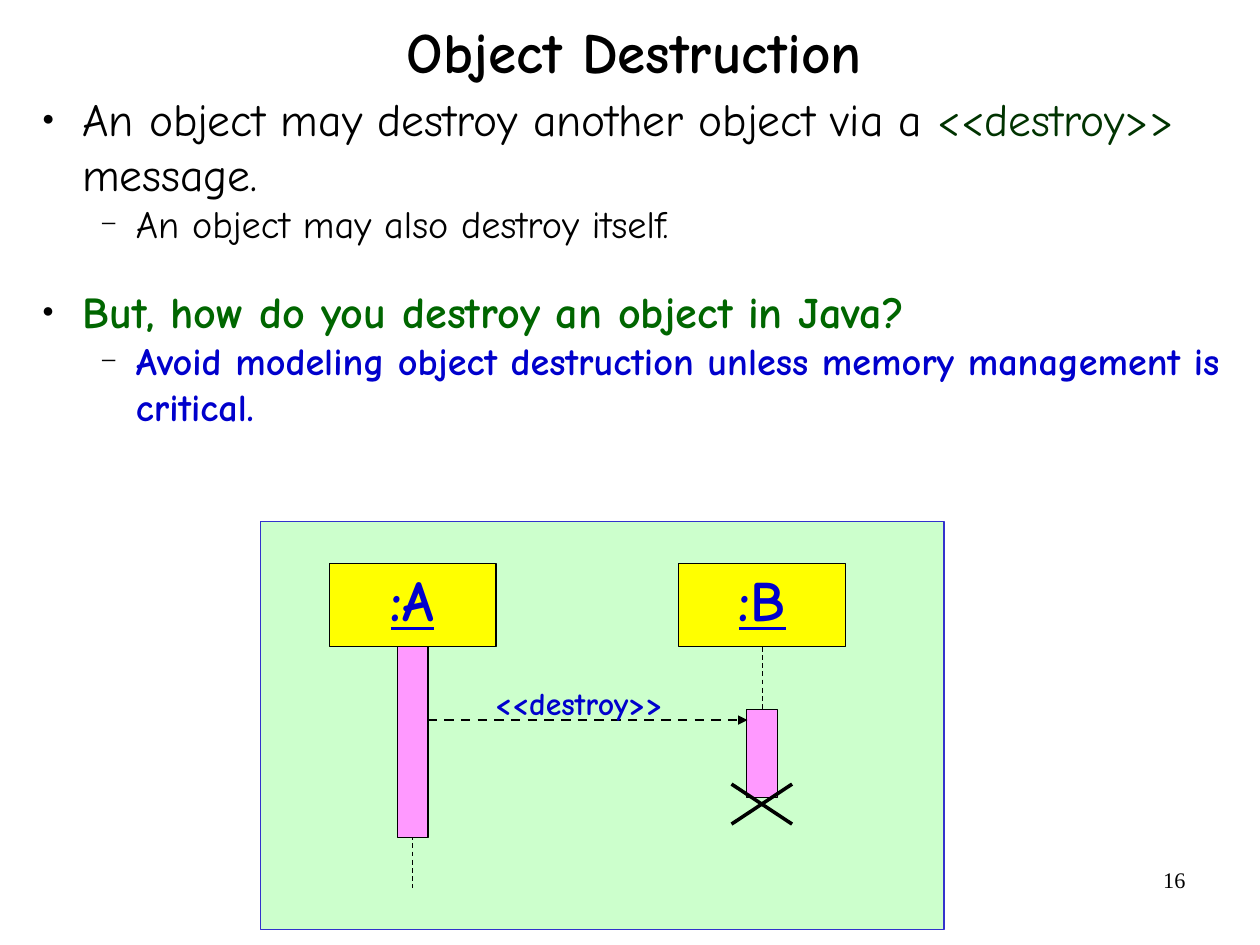
import pptx
import pptx.util
import pptx.dml.color
import pptx.enum.dml
import pptx.enum.shapes
import pptx.enum.text
import pptx.oxml
import pptx.oxml.ns

Inches = pptx.util.Inches
Pt = pptx.util.Pt
ALIGN = pptx.enum.text.PP_ALIGN
ANCHOR = pptx.enum.text.MSO_ANCHOR

COLORS = {
    "black": "000000",
    "stereotype": "003300",
    "question": "006600",
    "blue": "0000CC",
    "panel": "CCFFCC",
    "panel_line": "3333CC",
    "head": "FFFF00",
    "activation": "FF99FF",
}
FONT = "Comic Neue"
SERIF_FONT = "Times New Roman"
CM_PER_INCH = 2.54
TOP, BOTTOM = 0, 2

# Level, space after, size, bold, runs
BULLETS = [
    (0, 0, 28.7, False, [("An object may destroy another object via a ", "black"),
                         ("<<destroy>>", "stereotype"), (" message.", "black")]),
    (1, 24, 24.1, False, [("An object may also destroy itself.", "black")]),
    (0, 0, 27.8, True, [("But, how do you destroy an object in Java?", "question")]),
    (1, 10.9, 24.1, True, [("Avoid modeling object destruction unless memory "
                            "management is critical.", "blue")]),
]
# Left indent, hanging indent, character, size in percent
BULLET_STYLES = [(0.46, -0.35, "●", 45), (0.93, -0.31, "−", 75)]


def rgb(name):
    return pptx.dml.color.RGBColor.from_string(COLORS[name])


def add_element(parent, tag, **attributes):
    element = pptx.oxml.parse_xml(f"<a:{tag} {pptx.oxml.ns.nsdecls('a')}/>")
    for key, value in attributes.items():
        element.set(key, value)
    parent.append(element)
    return element


def add_run(paragraph, text, size, color, bold=False, font=FONT, underline=None):
    run = paragraph.add_run()
    run.text = text
    run.font.name = font
    run.font.size = Pt(size)
    run.font.bold = bold
    run.font.underline = underline
    run.font.color.rgb = rgb(color)


def add_text_frame(slide, box, inset=(0.1, 0.05), wrap=True):
    frame = slide.shapes.add_textbox(*map(Inches, box)).text_frame
    frame.margin_left = frame.margin_right = Inches(inset[0])
    frame.margin_top = frame.margin_bottom = Inches(inset[1])
    frame.word_wrap = wrap
    return frame


def add_rectangle(slide, box, fill, line="black"):
    shape = slide.shapes.add_shape(
        pptx.enum.shapes.MSO_SHAPE.RECTANGLE, *map(Inches, box))
    shape.shadow.inherit = False
    shape.fill.solid()
    shape.fill.fore_color.rgb = rgb(fill)
    shape.line.color.rgb = rgb(line)
    shape.line.width = Pt(0.75)
    return shape


def add_line(shapes, start, end, width, dashed=False, arrow=False):
    line = shapes.add_connector(
        pptx.enum.shapes.MSO_CONNECTOR.STRAIGHT, *map(Inches, (*start, *end)))
    line.line.color.rgb = rgb("black")
    line.line.width = Pt(width)
    if dashed:
        line.line.dash_style = pptx.enum.dml.MSO_LINE.DASH
    if arrow:
        add_element(line.line._get_or_add_ln(), "tailEnd", type="triangle")
    add_element(line._element.spPr, "effectLst")
    return line


def add_page_number(slide, box):
    paragraph = add_text_frame(slide, box).paragraphs[0]
    paragraph.alignment = ALIGN.RIGHT
    add_run(paragraph, "16", 14, "black", font=SERIF_FONT)


def add_title(slide, box):
    frame = add_text_frame(slide, box, inset=(0, 0))
    frame.vertical_anchor = ANCHOR.MIDDLE
    paragraph = frame.paragraphs[0]
    paragraph.alignment = ALIGN.CENTER
    paragraph.line_spacing = 0.88
    add_run(paragraph, "Object Destruction", 36, "black", bold=True)


def add_bullets(slide, box):
    frame = add_text_frame(slide, box, inset=(0, 0))
    for index, (level, space_after, size, bold, runs) in enumerate(BULLETS):
        paragraph = frame.add_paragraph() if index else frame.paragraphs[0]
        paragraph.level = level
        paragraph.line_spacing = 1.0
        paragraph.space_after = Pt(space_after)
        left, hanging, character, percent = BULLET_STYLES[level]
        properties = paragraph._p.get_or_add_pPr()
        properties.set("marL", str(Inches(left)))
        properties.set("indent", str(Inches(hanging)))
        bullet_color = add_element(properties, "buClr")
        add_element(bullet_color, "srgbClr", val=COLORS["black"])
        add_element(properties, "buSzPct", val=str(percent * 1000))
        add_element(properties, "buFont", typeface=SERIF_FONT)
        add_element(properties, "buChar", char=character)
        for text, color in runs:
            add_run(paragraph, text, size, color, bold)


def add_participant(slide, name, center, top, life_end, active_top, active_height):
    """Draw a named head, its lifeline and its activation bar."""
    width, height, bar_width = 1.46, 0.73, 0.27
    head = add_rectangle(slide, (center - width / 2, top, width, height), "head")
    frame = head.text_frame
    frame.word_wrap = False
    frame.vertical_anchor = ANCHOR.MIDDLE
    paragraph = frame.paragraphs[0]
    paragraph.alignment = ALIGN.CENTER
    paragraph.line_spacing = 0.8
    add_run(paragraph, name, 36, "blue", bold=True, underline=True)

    lifeline = add_line(slide.shapes, (center, top + height), (center, life_end),
                        0.75, dashed=True)
    lifeline.begin_connect(head, BOTTOM)
    bar = add_rectangle(
        slide, (center - bar_width / 2, active_top, bar_width, active_height),
        "activation")
    if life_end <= active_top + active_height:
        lifeline.end_connect(bar, BOTTOM)


def add_message(slide, start, end):
    add_line(slide.shapes, start, end, 1.5, dashed=True, arrow=True)
    frame = add_text_frame(
        slide, (start[0] + 0.49, start[1] - 0.3, 1.68, 0.37), wrap=False)
    frame.auto_size = pptx.enum.text.MSO_AUTO_SIZE.SHAPE_TO_FIT_TEXT
    paragraph = frame.paragraphs[0]
    paragraph.line_spacing = 0.8
    add_run(paragraph, "<<destroy>>", 20, "blue", bold=True)


def add_destruction_cross(slide, box):
    left, top, width, height = box
    group = slide.shapes.add_group_shape()
    for start, end in ((top, top + height), (top + height, top)):
        add_line(group.shapes, (left, start), (left + width, end), 2.25)


def add_sequence_diagram(slide, box):
    left, top, width, height = box
    add_rectangle(slide, box, "panel", "panel_line")
    center_a, center_b = left + 1.33, left + 4.39
    head_top = top + 0.37
    add_participant(slide, ":A", center_a, head_top, top + 3.21, top + 1.1, 1.67)
    add_participant(slide, ":B", center_b, head_top, top + 2.42, top + 1.65, 0.77)
    message_y = top + 1.74
    add_message(slide, (center_a + 0.13, message_y), (center_b - 0.13, message_y))
    add_destruction_cross(slide, (center_b - 0.27, top + 2.3, 0.53, 0.35))


def main():
    presentation = pptx.Presentation()
    presentation.slide_width = Inches(28 / CM_PER_INCH)
    presentation.slide_height = Inches(21 / CM_PER_INCH)
    slide = presentation.slides.add_slide(presentation.slide_layouts[6])
    add_page_number(slide, (7.9, 7.53, 2.57, 0.57))
    add_title(slide, (0.85, 0, 9.4, 0.97))
    add_bullets(slide, (0.26, 0.8, 10.76, 3.09))
    add_sequence_diagram(slide, (2.28, 4.56, 5.98, 3.57))
    presentation.save("out.pptx")


if __name__ == "__main__":
    main()
